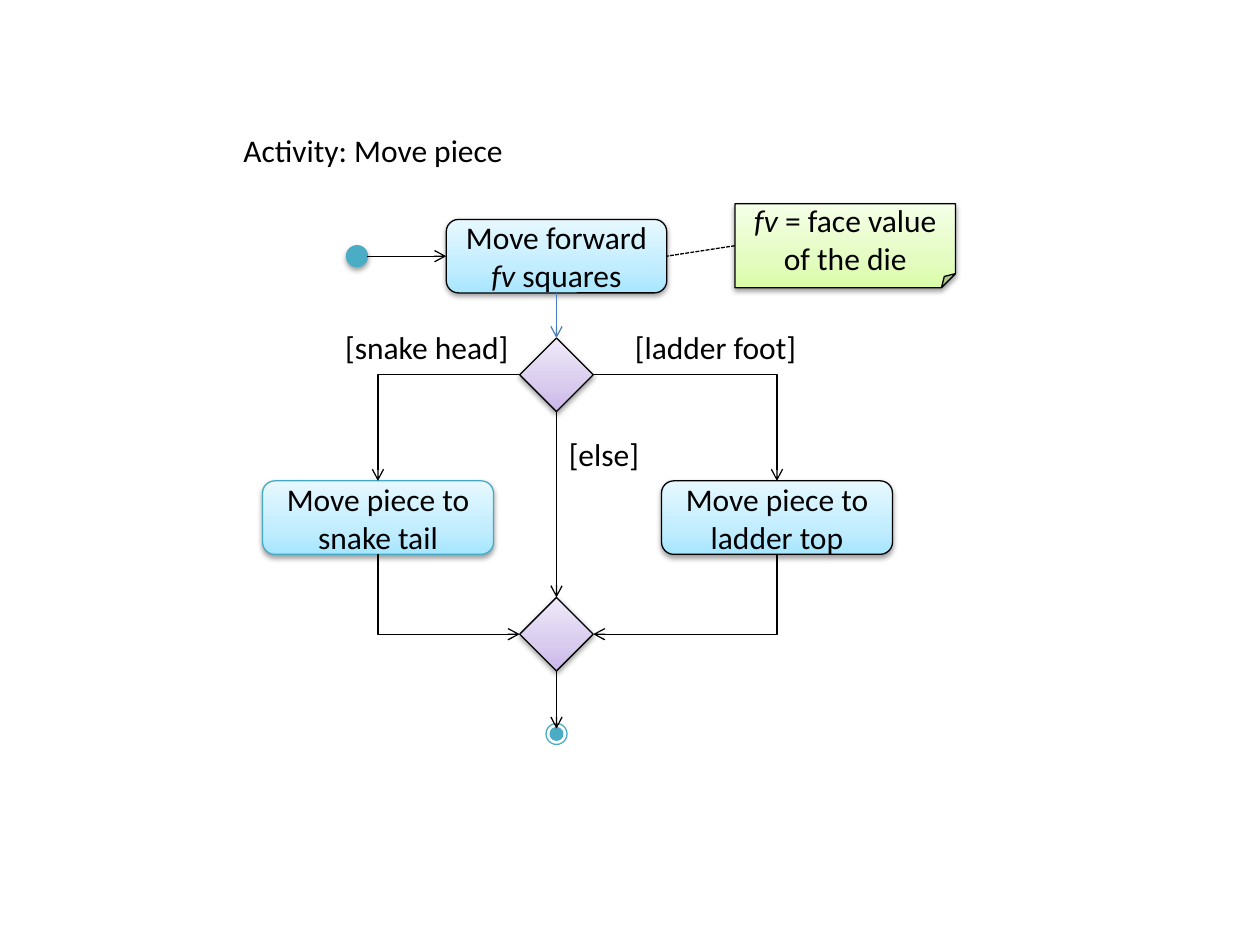
"""Build a slide with the activity diagram of moving a piece on a board."""
from copy import deepcopy
from dataclasses import dataclass

from lxml import etree
from pptx import Presentation
from pptx import util as u
from pptx.dml.color import RGBColor
from pptx.enum import dml, shapes, text
from pptx.oxml import ns

CELL = u.Inches(1) / 12
COLUMNS, ROWS = 120, 90

BLACK = RGBColor(0x00, 0x00, 0x00)
WHITE = RGBColor(0xFF, 0xFF, 0xFF)
TEAL = RGBColor(0x4B, 0xAC, 0xC6)
DARK_TEAL = RGBColor(0x46, 0xAA, 0xC5)
BLUE = RGBColor(0x4B, 0x7E, 0xBC)
SKY = (RGBColor(0xA7, 0xE6, 0xFF), RGBColor(0xC1, 0xED, 0xFF), RGBColor(0xE7, 0xF8, 0xFF))
LILAC = (RGBColor(0xC9, 0xB5, 0xE8), RGBColor(0xD8, 0xCB, 0xEE), RGBColor(0xF0, 0xEA, 0xF9))
LIME = (RGBColor(0xDA, 0xFD, 0xA7), RGBColor(0xE4, 0xFC, 0xC2), RGBColor(0xF5, 0xFF, 0xE7))

KIND = shapes.MSO_SHAPE
TOP, LEFT, BOTTOM, RIGHT = range(4)


@dataclass
class Box:
    """An area of the slide, measured in grid cells."""
    left: float
    top: float
    width: float
    height: float

    def inside(self, left, top, width, height):
        """Return a box placed relative to this one."""
        return Box(self.left + left, self.top + top, width, height)

    def lengths(self):
        """Return left, top, width and height in slide units."""
        return [round(n * CELL) for n in (self.left, self.top, self.width, self.height)]


def write(frame, words, align):
    """Fill a text frame, setting the variable fv in italics."""
    frame.word_wrap = True
    paragraph = frame.paragraphs[0]
    paragraph.alignment = align
    for part in filter(None, words.partition("fv")):
        run = paragraph.add_run()
        run.text = part
        run.font.name, run.font.size = "Calibri", u.Pt(18)
        run.font.color.rgb = BLACK
        run.font.italic = part == "fv"


def add_label(slide, box, words, align=text.PP_ALIGN.LEFT):
    """Place a text box."""
    frame = slide.shapes.add_textbox(*box.lengths()).text_frame
    write(frame, words, align)
    frame.auto_size = text.MSO_AUTO_SIZE.SHAPE_TO_FIT_TEXT


def add_node(parent, kind, box, outline=BLACK, weight=0.75):
    """Place an outlined shape without a shadow."""
    node = parent.shapes.add_shape(kind, *box.lengths())
    node.shadow.inherit = False
    node.line.color.rgb = outline
    node.line.width = u.Pt(weight)
    return node


def cast_shadow(node):
    """Drop a soft shadow below a shape."""
    effects = node._element.spPr.find(ns.qn("a:effectLst"))
    shadow = etree.SubElement(effects, ns.qn("a:outerShdw"), blurRad="40000",
                              dist="20000", dir="5400000", rotWithShape="0")
    tint = etree.SubElement(shadow, ns.qn("a:srgbClr"), val=str(BLACK))
    etree.SubElement(tint, ns.qn("a:alpha"), val="38000")


def add_card(slide, kind, box, colours, words="", outline=BLACK):
    """Place a shadowed shape with a three-colour gradient and centred text."""
    card = add_node(slide, kind, box, outline)
    card.fill.gradient()
    card.fill.gradient_angle = 90
    stops = card._element.spPr.find(".//" + ns.qn("a:gsLst"))
    stops.append(deepcopy(stops[-1]))
    for stop, position, colour in zip(card.fill.gradient_stops, (0, 0.35, 1), colours):
        stop.position, stop.color.rgb = position, colour
    cast_shadow(card)
    card.text_frame.vertical_anchor = text.MSO_ANCHOR.MIDDLE
    write(card.text_frame, words, text.PP_ALIGN.CENTER)
    return card


def add_dot(parent, box, fill, weight=0.75):
    """Place a filled circle."""
    dot = add_node(parent, KIND.OVAL, box, TEAL, weight)
    dot.fill.solid()
    dot.fill.fore_color.rgb = fill
    return dot


def add_line(slide, start, end, colour=BLACK, arrow="tailEnd", corner=False):
    """Draw a line between (shape, side) joints or (column, row) points."""
    style = shapes.MSO_CONNECTOR.ELBOW if corner else shapes.MSO_CONNECTOR.STRAIGHT
    points = [(0, 0) if hasattr(joint[0], "shape_id") else joint for joint in (start, end)]
    line = slide.shapes.add_connector(style, *(round(n * CELL) for p in points for n in p))
    for joint, connect in ((start, line.begin_connect), (end, line.end_connect)):
        if hasattr(joint[0], "shape_id"):
            connect(*joint)
    line.line.color.rgb = colour
    line.line.width = u.Pt(0.75)
    properties = line._element.spPr
    if corner:
        properties.find(ns.qn("a:prstGeom")).set("prst", "bentConnector2")
    if arrow:
        etree.SubElement(properties.find(ns.qn("a:ln")), ns.qn("a:" + arrow), type="arrow")
    etree.SubElement(properties, ns.qn("a:effectLst"))
    return line


def draw_end(slide, box):
    """Draw the ringed dot that ends the activity."""
    ring = slide.shapes.add_group_shape()
    add_dot(ring, box, WHITE)
    add_dot(ring, box.inside(box.width / 4, box.height / 4, box.width / 2, box.height / 2), TEAL, 2)


def draw_flow(slide, box):
    """Draw the activity from start to end and return its first action."""
    centre = 28
    action_row, merge_row, end_row = 24.9, 36, 48
    start = box.inside(8, 2.5, 2, 2)
    cast_shadow(add_dot(slide, start, TEAL))
    forward = add_card(slide, KIND.ROUNDED_RECTANGLE, box.inside(17.5, 0, 21, 7), SKY,
                       "Move forward fv squares")
    choice, merge = (
        add_card(slide, KIND.FLOWCHART_DECISION, box.inside(centre - 3.5, row, 7, 7), LILAC)
        for row in (11.3, merge_row))
    draw_end(slide, box.inside(centre - 1, end_row, 2, 2))

    add_line(slide, (start.left + start.width, start.top + start.height / 2), (forward, LEFT))
    add_line(slide, (forward, BOTTOM), (choice, TOP), BLUE)
    add_line(slide, (choice, BOTTOM), (merge, TOP))
    add_line(slide, (merge, BOTTOM), (box.left + centre, box.top + end_row + 0.5))

    branches = (
        (0, "Move piece to snake tail", DARK_TEAL, LEFT, "[snake head]", 5.6),
        (38, "Move piece to ladder top", BLACK, RIGHT, "[ladder foot]", 33),
    )
    for column, words, outline, side, guard, guard_column in branches:
        action = add_card(slide, KIND.ROUNDED_RECTANGLE, box.inside(column, action_row, 22, 7),
                          SKY, words, outline)
        add_line(slide, (choice, side), (action, TOP), corner=True)
        add_line(slide, (merge, side), (action, BOTTOM), arrow="headEnd", corner=True)
        add_label(slide, box.inside(guard_column, 9.75, 19, 4.8), guard, text.PP_ALIGN.RIGHT)
    add_label(slide, box.inside(centre, 19.9, 12, 4.8), "[else]")
    return forward


def draw_note(slide, box, subject):
    """Draw a note tied to its subject by a dashed line."""
    note = add_card(slide, KIND.FOLDED_CORNER, box, LIME, "fv = face value of the die")
    tie = add_line(slide, (note, LEFT), (subject, RIGHT), arrow=None)
    tie.line.dash_style = dml.MSO_LINE.SQUARE_DOT


def main():
    """Build and save the presentation."""
    deck = Presentation()
    deck.slide_width, deck.slide_height = round(COLUMNS * CELL), round(ROWS * CELL)
    slide = deck.slides.add_slide(deck.slide_layouts[6])
    add_label(slide, Box(22, 11.9, 64, 4.8), "Activity: Move piece")
    forward = draw_flow(slide, Box(25, 20.9, 60, 50))
    draw_note(slide, Box(70, 19.4, 21, 8), forward)
    deck.save("out.pptx")


if __name__ == "__main__":
    main()
